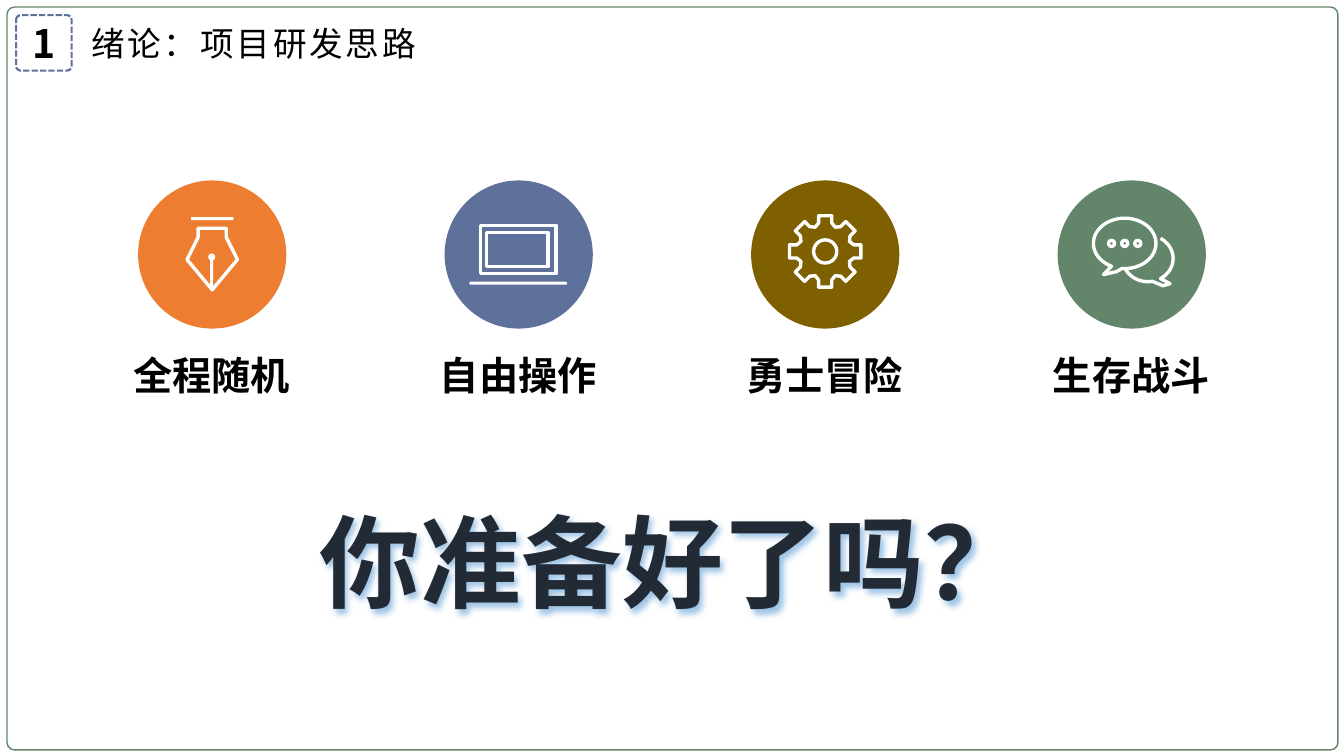
from dataclasses import dataclass
from math import cos, radians, sin

from lxml import etree
from pptx import Presentation
from pptx.dml.color import RGBColor
from pptx.enum.dml import MSO_LINE
from pptx.enum.shapes import MSO_SHAPE
from pptx.enum.text import MSO_ANCHOR, MSO_AUTO_SIZE, PP_ALIGN
from pptx.oxml.ns import qn
from pptx.util import Inches, Pt

RECTANGLE = MSO_SHAPE.RECTANGLE
ROUNDED = MSO_SHAPE.ROUNDED_RECTANGLE
OVAL = MSO_SHAPE.OVAL
DASHED = MSO_LINE.SQUARE_DOT
CENTER = PP_ALIGN.CENTER
LEFT = PP_ALIGN.LEFT
MIDDLE = MSO_ANCHOR.MIDDLE
TOP = MSO_ANCHOR.TOP
GROW = MSO_AUTO_SIZE.SHAPE_TO_FIT_TEXT


@dataclass(frozen=True)
class Theme:
    """Colours, font and type sizes of the slide."""
    font: str = "Noto Sans CJK SC"
    ink: str = "000000"
    white: str = "FFFFFF"
    navy: str = "222A35"
    halo: str = "A0C5E6"
    orange: str = "ED7D31"
    blue: str = "5E719B"
    olive: str = "7F6000"
    green: str = "63866A"
    title: int = 24
    label: int = 28
    headline: int = 72
    icon_line: float = 2.4


THEME = Theme()


def paint(shape, fill=None, line=None, width=1):
    """Set the fill and line of a shape and drop its shadow."""
    shape.shadow.inherit = False
    if fill:
        shape.fill.solid()
        shape.fill.fore_color.rgb = RGBColor.from_string(fill)
    else:
        shape.fill.background()
    if line:
        shape.line.color.rgb = RGBColor.from_string(line)
        shape.line.width = Pt(width)
    else:
        shape.line.fill.background()
    return shape


def add_shape(shapes, kind, box, corner=None, **look):
    """Add a painted preset shape in a box given in inches."""
    shape = shapes.add_shape(kind, *map(Inches, box))
    if corner is not None:
        shape.adjustments[0] = corner
    return paint(shape, **look)


def write(shape, text, size, color=THEME.ink, bold=False, align=CENTER,
          anchor=MIDDLE, wrap=True, grow=False, inset=None, spacing=None):
    """Write one formatted line of text into a shape."""
    frame = shape.text_frame
    frame.word_wrap = wrap
    frame.vertical_anchor = anchor
    if grow:
        frame.auto_size = GROW
    if inset is not None:
        frame.margin_left = frame.margin_right = Inches(inset)
        frame.margin_top = frame.margin_bottom = Inches(inset)
    para = frame.paragraphs[0]
    para.alignment = align
    span = para.add_run()
    span.text = text
    span.font.size = Pt(size)
    span.font.bold = bold
    span.font.name = THEME.font
    span.font.color.rgb = RGBColor.from_string(color)
    properties = span.font._element
    etree.SubElement(properties, qn("a:ea"), typeface=THEME.font)
    if spacing:
        properties.set("spc", str(spacing * 100))


def add_outline(shapes, center, points, closed=True):
    """Draw a white line through points given relative to a center."""
    x, y = center
    spots = [(Inches(x + dx), Inches(y + dy)) for dx, dy in points]
    builder = shapes.build_freeform(*spots[0])
    builder.add_line_segments(spots[1:], close=closed)
    return paint(builder.convert_to_shape(), line=THEME.white, width=THEME.icon_line)


def add_part(shapes, center, kind, box, **look):
    """Add an icon part whose box is relative to a center."""
    left, top, width, height = box
    return add_shape(shapes, kind, (center[0] + left, center[1] + top, width, height), **look)


def add_ring(shapes, center, offset, diameter):
    """Add a white ring around a point relative to a center."""
    left, top = (value - diameter / 2 for value in offset)
    add_part(shapes, center, OVAL, (left, top, diameter, diameter),
             line=THEME.white, width=THEME.icon_line)


def arc(middle, radii, start, end, step=5):
    """Return points along an elliptic arc, in degrees clockwise."""
    return [(middle[0] + radii[0] * cos(radians(angle)),
             middle[1] + radii[1] * sin(radians(angle)))
            for angle in range(start, end + 1, step)]


def draw_pen(shapes, center):
    """Draw the pen nib icon."""
    for kind, box in ((RECTANGLE, (-0.02, 0, 0.03, 0.34)),
                      (OVAL, (-0.04, -0.01, 0.07, 0.07)),
                      (RECTANGLE, (-0.21, -0.37, 0.42, 0.03))):
        add_part(shapes, center, kind, box, fill=THEME.white)
    add_outline(shapes, center, [(0, 0.35), (-0.25, 0.05), (-0.14, -0.17), (-0.14, -0.26),
                                 (0.14, -0.26), (0.14, -0.17), (0.25, 0.05)])


def draw_laptop(shapes, center):
    """Draw the laptop icon."""
    for box in ((-0.38, -0.29, 0.75, 0.48), (-0.32, -0.22, 0.61, 0.34)):
        add_part(shapes, center, RECTANGLE, box, line=THEME.white, width=THEME.icon_line)
    add_part(shapes, center, ROUNDED, (-0.49, 0.27, 0.97, 0.03), corner=0.5, fill=THEME.white)


def draw_gear(shapes, center):
    """Draw the gear icon with eight equal teeth."""
    tooth = ((-13, 0.29), (-10.5, 0.36), (10.5, 0.36), (13, 0.29), (22.5, 0.26))
    turns = [(radians(45 * index + angle), radius) for index in range(8)
             for angle, radius in tooth]
    add_outline(shapes, center, [(radius * cos(turn), radius * sin(turn) - 0.03)
                                 for turn, radius in turns])
    add_ring(shapes, center, (0, -0.03), 0.23)


def draw_bubbles(shapes, center):
    """Draw the two speech bubbles icon."""
    front = arc((-0.07, -0.11), (0.31, 0.25), 115, 455)
    add_outline(shapes, center, front + [(-0.15, 0.17), (-0.28, 0.2)])
    middle, radii = (0.16, 0.04), (0.25, 0.23)
    back = arc(middle, radii, -60, 60) + [(0.38, 0.29), (0.31, 0.31)]
    add_outline(shapes, center, back + arc(middle, radii, 80, 155), closed=False)
    for index in range(3):
        add_ring(shapes, center, (-0.2 + 0.13 * index, -0.11), 0.06)


def add_header(page, box, number, title):
    """Add the dashed number badge and the section title."""
    left, top, width, height = box
    badge = add_shape(page.shapes, ROUNDED, (left, top, height, height), corner=0.08,
                      line=THEME.blue, width=1.5)
    badge.line.dash_style = DASHED
    write(badge, number, THEME.label, bold=True, inset=0)
    heading = add_shape(page.shapes, ROUNDED, (left + 0.56, top, width - 0.56, height),
                        corner=0.09)
    write(heading, title, THEME.title, spacing=2)


def add_feature(page, box, label, color, draw_icon):
    """Add a coloured disc with its icon and the label below."""
    left, top, size, height = box
    shapes = page.shapes.add_group_shape().shapes
    add_shape(shapes, OVAL, (left, top, size, size), fill=color)
    middle = left + size / 2
    draw_icon(shapes, (middle, top + size / 2))
    caption = page.shapes.add_textbox(*map(Inches, (middle - 0.88, top + height - 0.57,
                                                    1.76, 0.57)))
    write(caption, label, THEME.label, bold=True, align=LEFT, anchor=TOP, wrap=False, grow=True)


def add_headline(page, box, text):
    """Add the large closing question with its soft halo."""
    headline = page.shapes.add_textbox(*map(Inches, box))
    write(headline, text, THEME.headline, color=THEME.navy, bold=True, anchor=TOP,
          wrap=False, grow=True)
    effects = etree.SubElement(headline._element.spPr, qn("a:effectLst"))
    shadow = etree.SubElement(effects, qn("a:outerShdw"), blurRad="50800", dist="38100",
                              dir="2700000", algn="tl", rotWithShape="0")
    etree.SubElement(shadow, qn("a:srgbClr"), val=THEME.halo)


def main():
    """Build the slide and save the deck."""
    deck = Presentation()
    deck.slide_width, deck.slide_height = Inches(13.33), Inches(7.5)
    page = deck.slides.add_slide(deck.slide_layouts[6])
    add_shape(page.shapes, ROUNDED, (0.07, 0.07, 13.2, 7.37), corner=0.01, line=THEME.green)
    add_header(page, (0.16, 0.15, 4.15, 0.55), "1", "绪论：项目研发思路")
    features = (("全程随机", THEME.orange, draw_pen),
                ("自由操作", THEME.blue, draw_laptop),
                ("勇士冒险", THEME.olive, draw_gear),
                ("生存战斗", THEME.green, draw_bubbles))
    for index, feature in enumerate(features):
        add_feature(page, (1.37 + 3.04 * index, 1.79, 1.47, 2.22), *feature)
    add_headline(page, (3.07, 4.91, 7.2, 1.31), "你准备好了吗？")
    deck.save("out.pptx")


if __name__ == "__main__":
    main()
